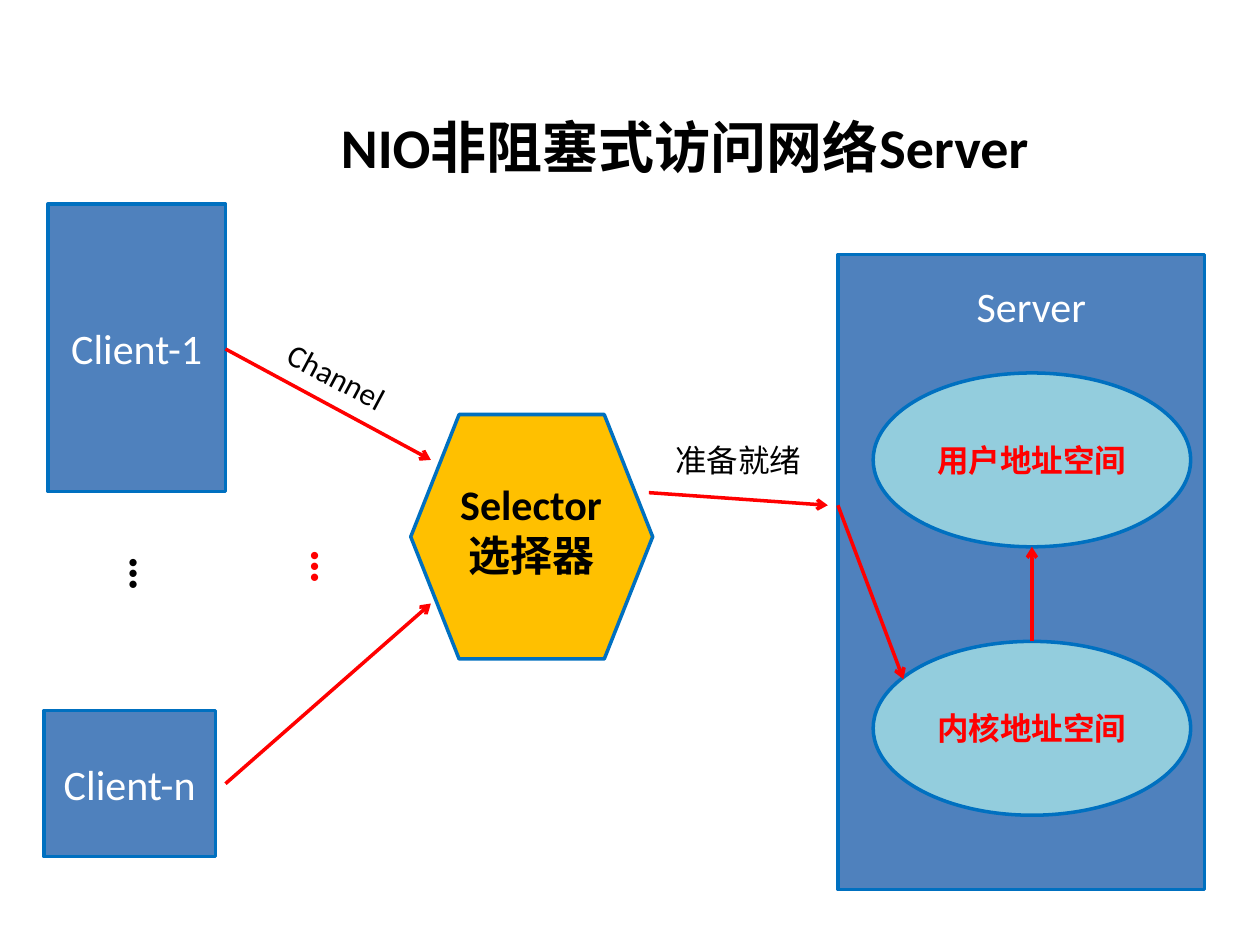
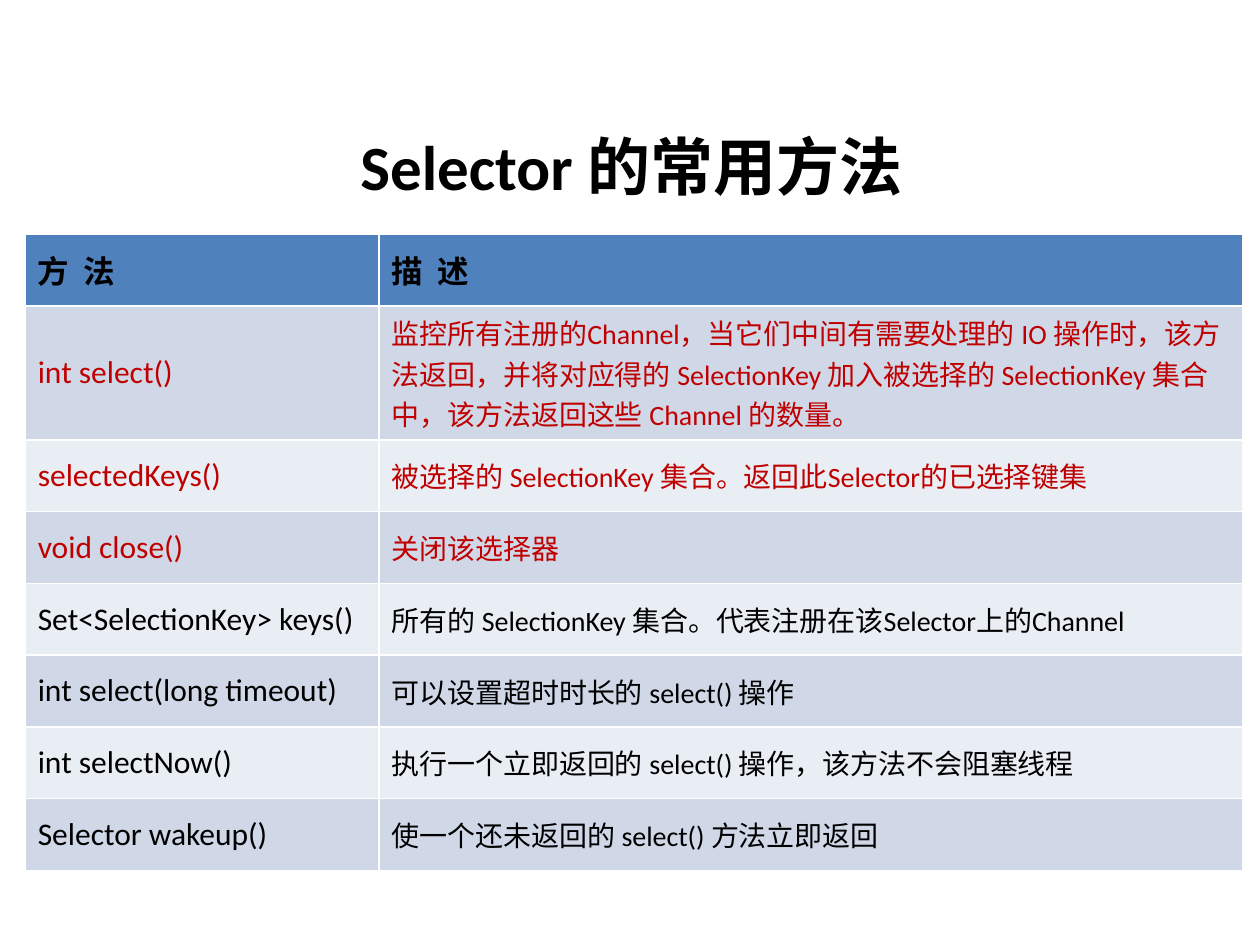
from lxml import etree
from pptx import Presentation
from pptx.dml.color import RGBColor
from pptx.enum import shapes, text
from pptx.oxml import ns
from pptx.util import Inches, Pt

BLACK = RGBColor(0x00, 0x00, 0x00)
WHITE = RGBColor(0xFF, 0xFF, 0xFF)
BLUE = RGBColor(0x4F, 0x81, 0xBD)
EDGE = RGBColor(0x00, 0x70, 0xC0)
AQUA = RGBColor(0x93, 0xCD, 0xDD)
GOLD = RGBColor(0xFF, 0xC0, 0x00)
RED = RGBColor(0xFF, 0x00, 0x00)
DARK = RGBColor(0xC0, 0x00, 0x00)
BANDS = RGBColor(0xD0, 0xD8, 0xE8), RGBColor(0xE9, 0xED, 0xF4)
LATIN = "Calibri"
HAN = "Noto Sans CJK SC"
KIND = shapes.MSO_SHAPE
LEFT, CENTER = text.PP_ALIGN.LEFT, text.PP_ALIGN.CENTER
TOP, MIDDLE = text.MSO_ANCHOR.TOP, text.MSO_ANCHOR.MIDDLE

ROWS = [
    ("方  法", "描  述"),
    ("int select()", "监控所有注册的Channel，当它们中间有需要处理的 IO 操作时，该方法返回，"
     "并将对应得的 SelectionKey 加入被选择的 SelectionKey 集合中，"
     "该方法返回这些 Channel 的数量。"),
    ("selectedKeys()", "被选择的 SelectionKey 集合。返回此Selector的已选择键集"),
    ("void close()", "关闭该选择器"),
    ("Set<SelectionKey> keys()", "所有的 SelectionKey 集合。代表注册在该Selector上的Channel"),
    ("int select(long timeout)", "可以设置超时时长的 select() 操作"),
    ("int selectNow()", "执行一个立即返回的 select() 操作，该方法不会阻塞线程"),
    ("Selector wakeup()", "使一个还未返回的 select() 方法立即返回"),
]
KEY_ROWS = range(1, 4)


def write(frame, words, size=18, color=BLACK, bold=False, align=CENTER, font=LATIN):
    frame.word_wrap = True
    for i, line in enumerate(words.split("\n")):
        para = frame.paragraphs[0] if i == 0 else frame.add_paragraph()
        para.alignment = align
        run = para.add_run()
        run.text = line
        run.font.name = font
        run.font.size = Pt(size)
        run.font.bold = bold
        run.font.color.rgb = color
        latin = run.font._element.find(ns.qn("a:latin"))
        latin.addnext(etree.Element(ns.qn("a:ea"), typeface=HAN))


def place(shape, box):
    shape.left, shape.top, shape.width, shape.height = map(Inches, box)


def add_title(slide, words, box, size, anchor):
    title = slide.shapes.title
    place(title, box)
    frame = title.text_frame
    frame.auto_size = text.MSO_AUTO_SIZE.NONE
    frame.vertical_anchor = anchor
    write(frame, words, size=size, bold=True)


def add_block(slide, kind, box, fill, words="", **style):
    block = slide.shapes.add_shape(kind, *map(Inches, box))
    block.shadow.inherit = False
    block.fill.solid()
    block.fill.fore_color.rgb = fill
    block.line.color.rgb = EDGE
    block.line.width = Pt(2)
    if words:
        block.text_frame.vertical_anchor = MIDDLE
        write(block.text_frame, words, **style)


def add_label(slide, words, box, turn=0, upright=False, **style):
    label = slide.shapes.add_textbox(*map(Inches, box))
    label.rotation = turn
    write(label.text_frame, words, **style)
    if upright:
        label.text_frame._txBody.bodyPr.set("vert", "eaVert")


def add_arrow(slide, start, end):
    arrow = slide.shapes.add_connector(
        shapes.MSO_CONNECTOR.STRAIGHT, *map(Inches, start + end))
    arrow.line.color.rgb = RED
    arrow.line.width = Pt(2)
    props = arrow._element.spPr
    etree.SubElement(props.find(ns.qn("a:ln")), ns.qn("a:tailEnd"), type="arrow")
    etree.SubElement(props, ns.qn("a:effectLst"))


def add_grid(slide, rows, box, widths):
    grid = slide.shapes.add_table(len(rows), len(widths), *map(Inches, box)).table
    for col, width in zip(grid.columns, widths):
        col.width = Inches(width)
    for r, row in enumerate(rows):
        for c, words in enumerate(row):
            cell = grid.cell(r, c)
            cell.vertical_anchor = MIDDLE
            cell.fill.solid()
            cell.fill.fore_color.rgb = BANDS[(r - 1) % 2] if r else BLUE
            write(cell.text_frame, words, size=16 if r and c else 18, bold=r == 0,
                  color=DARK if r in KEY_ROWS else BLACK, align=LEFT)


def draw_flow(slide):
    add_title(slide, "NIO非阻塞式访问网络Server", (2.24, 0.84, 6.39, 0.64), 32, TOP)
    for name, box in (("Client-1", (0.38, 1.62, 1.41, 2.28)),
                      ("Client-n", (0.35, 5.64, 1.36, 1.16))):
        add_block(slide, KIND.RECTANGLE, box, BLUE, name, size=24, color=WHITE)
    add_block(slide, KIND.RECTANGLE, (6.65, 2.02, 2.91, 5.04), BLUE)
    add_label(slide, "Server", (7.36, 2.18, 1.65, 0.5), size=24, color=WHITE)
    for name, top in (("用户地址空间", 2.96), ("内核地址空间", 5.09)):
        add_block(slide, KIND.OVAL, (6.93, top, 2.52, 1.38), AQUA, name,
                  color=RED, bold=True, font=HAN)
    add_block(slide, KIND.FLOWCHART_PREPARATION, (3.26, 3.29, 1.92, 1.94), GOLD)
    add_label(slide, "Selector\n选择器", (3.35, 3.75, 1.73, 0.91), size=24, bold=True)
    for left, top, color in ((0.8, 4.32, BLACK), (2.24, 4.26, RED)):
        add_label(slide, "…", (left, top, 0.67, 0.75), upright=True,
                  size=28, color=color, bold=True)
    add_label(slide, "准备就绪", (5.26, 3.45, 1.39, 0.4), align=LEFT, font=HAN)
    add_label(slide, "Channel", (2.15, 2.82, 1.18, 0.4), turn=28, align=LEFT)
    for start, end in (((1.79, 2.77), (3.42, 3.65)),
                       ((1.79, 6.22), (3.42, 4.79)),
                       ((5.15, 3.91), (6.57, 4.01)),
                       ((6.65, 4.01), (7.17, 5.39)),
                       ((8.19, 5.09), (8.19, 4.34))):
        add_arrow(slide, start, end)


def draw_calls(slide):
    add_title(slide, "Selector 的常用方法", (0.51, 0.84, 9, 0.94), 36, MIDDLE)
    add_grid(slide, ROWS, (0.2, 1.86, 9.66, 0.57 * len(ROWS)), (2.81, 6.85))


def main():
    deck = Presentation()
    deck.slide_width, deck.slide_height = Inches(10), Inches(7.5)
    for draw in (draw_flow, draw_calls):
        draw(deck.slides.add_slide(deck.slide_layouts[5]))
    deck.save("out.pptx")


if __name__ == "__main__":
    main()
